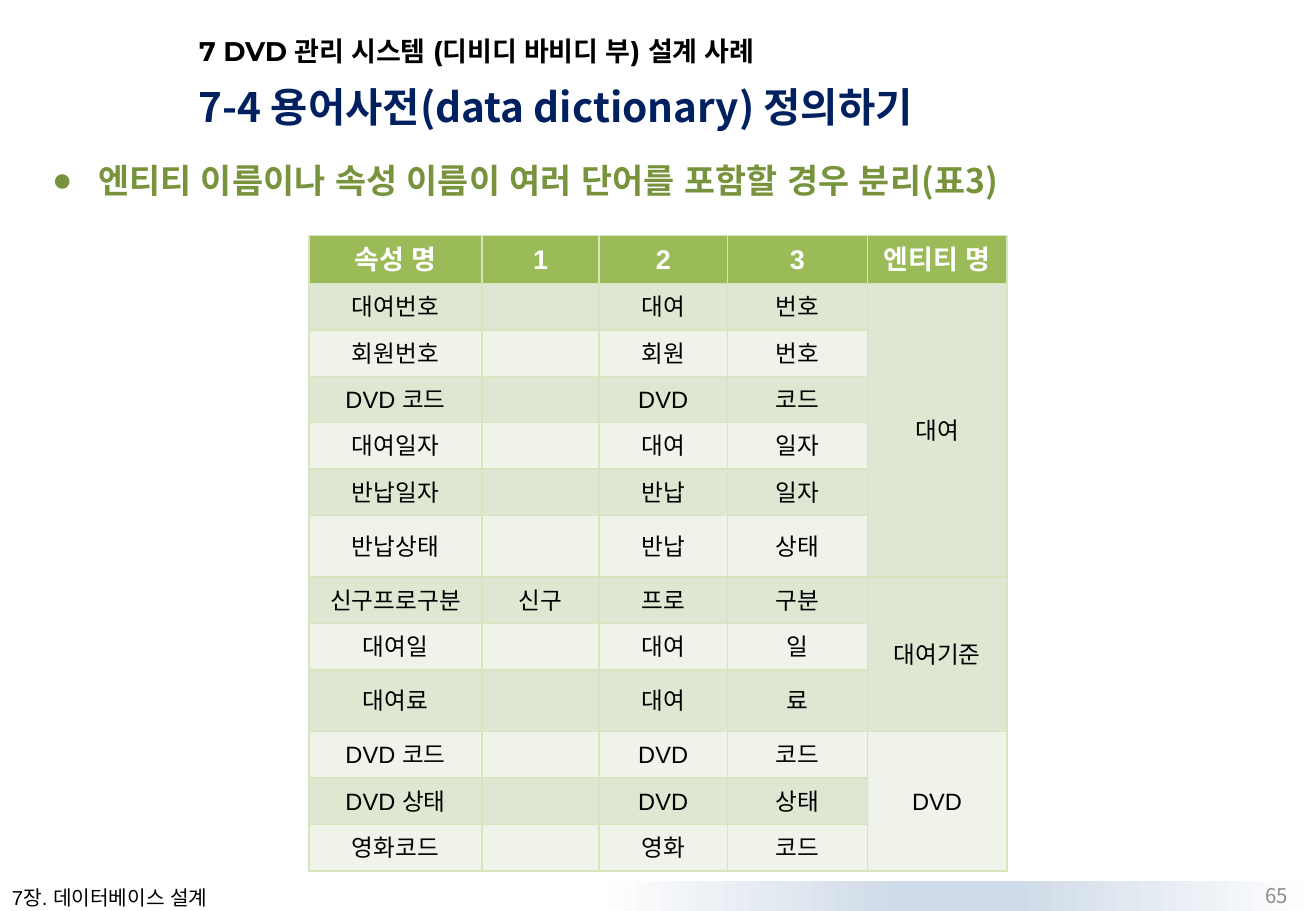
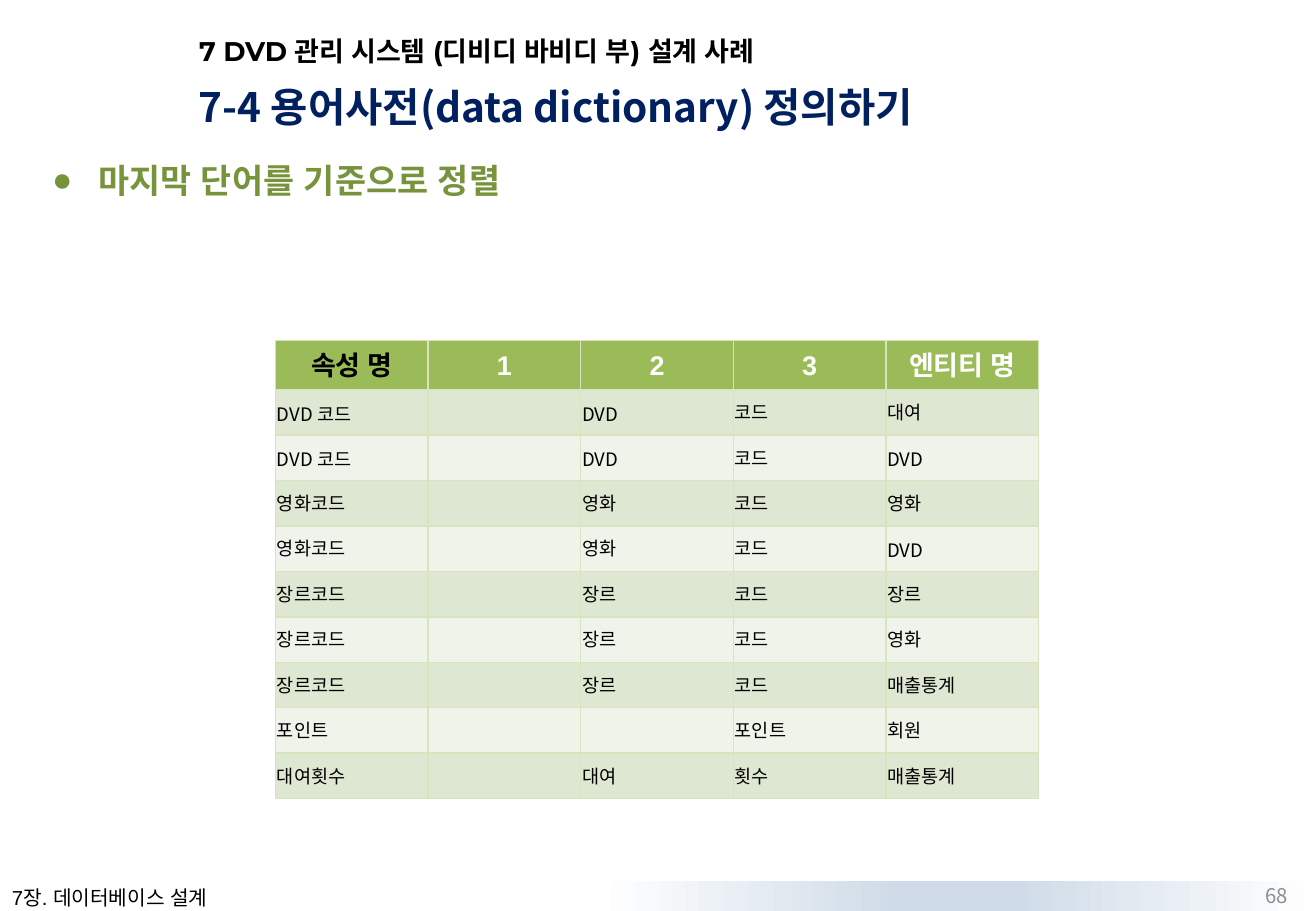
from dataclasses import dataclass

from lxml.etree import SubElement
from pptx import Presentation
from pptx.dml.color import RGBColor
from pptx.enum.shapes import MSO_SHAPE as Shape
from pptx.enum.text import MSO_ANCHOR as Anchor, MSO_AUTO_SIZE as AutoSize, PP_ALIGN as Align
from pptx.oxml import parse_xml
from pptx.oxml.ns import nsdecls, qn
from pptx.util import Cm, Pt


@dataclass(frozen=True)
class Theme:
    # Colours
    black: str = "000000"
    white: str = "FFFFFF"
    navy: str = "002060"
    green: str = "77933C"
    grey: str = "8C8C8C"
    band: str = "CFDBE8"
    header: str = "9BBB59"
    rows: tuple = ("DEE7D1", "EFF3EA")
    border: str = "D7E4BD"
    # Fonts
    sans: str = "Arial"
    display: str = "Montserrat"
    korean: str = "Noto Sans CJK KR"
    # Type sizes
    chapter: int = 16
    section: int = 24
    bullet: int = 20
    small: int = 12
    table_header: int = 16


THEME = Theme()


@dataclass(frozen=True)
class TableStyle:
    size: int
    align: Align
    font: str
    lead_font: str
    lead_color: str


def style_para(para, size, color, font, bold=False, align=Align.LEFT, east_asian=THEME.sans):
    para.alignment = align
    for span in para.runs:
        span.font.size = Pt(size)
        span.font.bold = bold
        span.font.name = font
        span.font.color.rgb = RGBColor.from_string(color)
        SubElement(span.font._element, qn("a:ea"), typeface=east_asian)


def fill_frame(frame, text, anchor=Anchor.TOP, wrap=True, **style):
    frame.text = text
    frame.word_wrap = wrap
    frame.auto_size = AutoSize.NONE
    frame.vertical_anchor = anchor
    style_para(frame.paragraphs[0], **style)


def place(shape, left, top, width, height):
    shape.left, shape.top = Cm(left), Cm(top)
    shape.width, shape.height = Cm(width), Cm(height)


def add_text(page, area, text, **style):
    box = page.shapes.add_textbox(*map(Cm, area))
    fill_frame(box.text_frame, text, **style)
    return box


def add_rectangle(page, area):
    shape = page.shapes.add_shape(Shape.RECTANGLE, *map(Cm, area))
    shape.shadow.inherit = False
    shape.line.fill.background()
    return shape


def add_backdrop(page):
    band = add_rectangle(page, (12.5, 18.42, 15.01, 0.63))
    band.fill.gradient()
    band.fill.gradient_angle = 0
    # Fade from white to blue and back
    stops = band.fill.gradient_stops._gsLst
    for stop in list(stops):
        stops.remove(stop)
    fade = ((0, THEME.white), (42, THEME.band), (58, THEME.band), (100, THEME.white))
    for percent, color in fade:
        stop = SubElement(stops, qn("a:gs"), pos=str(percent * 1000))
        SubElement(stop, qn("a:srgbClr"), val=color)
    # Content panel
    panel = add_rectangle(page, (0.84, 2.74, 26.67, 15.67))
    panel.fill.solid()
    panel.fill.fore_color.rgb = RGBColor.from_string(THEME.white)


def add_bullet(page, text):
    box = add_text(page, (0.84, 2.97, 26.24, 15.04), text, size=THEME.bullet,
                   color=THEME.green, font=THEME.korean, bold=True)
    para = box.text_frame.paragraphs[0]
    props = para._p.get_or_add_pPr()
    props.set("marL", str(Cm(0.96)))
    props.set("indent", str(-Cm(0.96)))
    SubElement(props, qn("a:buFont"), typeface=THEME.sans)
    SubElement(props, qn("a:buChar"), char="●")
    para.line_spacing = 1.3


def add_page(deck, number, bullet):
    page = deck.slides.add_slide(deck.slide_layouts[5])
    add_backdrop(page)
    add_bullet(page, bullet)
    # Headings
    title = page.shapes.title
    place(title, 3.91, 0.64, 17.02, 0.84)
    fill_frame(title.text_frame, "7 DVD 관리 시스템 (디비디 바비디 부) 설계 사례",
               anchor=Anchor.MIDDLE, size=THEME.chapter, color=THEME.black,
               font=THEME.display, bold=True)
    add_text(page, (3.91, 1.69, 19.58, 1.17), "7-4 용어사전(data dictionary) 정의하기",
             anchor=Anchor.BOTTOM, size=THEME.section, color=THEME.navy,
             font=THEME.korean, bold=True, east_asian=THEME.korean)
    # Footer
    add_text(page, (0, 18.39, 5, 0.76), "7장. 데이터베이스 설계", wrap=False,
             size=THEME.small, color=THEME.black, font=THEME.sans)
    add_text(page, (20.74, 18.42, 6.43, 0.63), str(number), anchor=Anchor.MIDDLE,
             size=THEME.small, color=THEME.grey, font=THEME.korean, align=Align.RIGHT)
    return page


def style_cell(cell, text, fill, **style):
    cell.text = text
    cell.vertical_anchor = Anchor.MIDDLE
    cell.margin_left = cell.margin_right = cell.margin_top = Cm(0.03)
    cell.margin_bottom = 0
    style_para(cell.text_frame.paragraphs[0], **style)
    props = cell._tc.get_or_add_tcPr()
    for side in ("lnL", "lnR", "lnT", "lnB"):
        props.append(parse_xml(
            f'<a:{side} {nsdecls("a")} w="{Pt(1)}"><a:solidFill>'
            f'<a:srgbClr val="{THEME.border}"/></a:solidFill></a:{side}>'))
    cell.fill.solid()
    cell.fill.fore_color.rgb = RGBColor.from_string(fill)


def add_dictionary(page, left, top, widths, heights, entries, style):
    """Draw a term table; an entity of None joins the cell above."""
    frame = page.shapes.add_table(len(heights), len(widths), Cm(left), Cm(top),
                                  Cm(sum(widths)), Cm(sum(heights)))
    table = frame.table
    table.horz_banding = False
    for column, width in zip(table.columns, widths):
        column.width = Cm(width)
    for row, height in zip(table.rows, heights):
        row.height = Cm(height)
    # Header
    for index, text in enumerate(("속성 명", "1", "2", "3", "엔티티 명")):
        lead = index == 0
        style_cell(table.cell(0, index), text, THEME.header, size=THEME.table_header,
                   color=style.lead_color if lead else THEME.white,
                   font=style.lead_font if lead else THEME.sans,
                   bold=True, align=Align.CENTER)
    # Body
    for number, entry in enumerate(entries, start=1):
        for index, text in enumerate(entry):
            style_cell(table.cell(number, index), text or "", THEME.rows[(number - 1) % 2],
                       size=style.size, color=THEME.black, font=style.font, align=style.align)
    # Joined entity cells
    last = len(widths) - 1
    starts = [n for n, entry in enumerate(entries, start=1) if entry[last] is not None]
    for start, following in zip(starts, starts[1:] + [len(heights)]):
        if following - start > 1:
            table.cell(start, last).merge(table.cell(following - 1, last))


SPLIT_TERMS = (
    ("대여번호", "", "대여", "번호", "대여"),
    ("회원번호", "", "회원", "번호", None),
    ("DVD 코드", "", "DVD", "코드", None),
    ("대여일자", "", "대여", "일자", None),
    ("반납일자", "", "반납", "일자", None),
    ("반납상태", "", "반납", "상태", None),
    ("신구프로구분", "신구", "프로", "구분", "대여기준"),
    ("대여일", "", "대여", "일", None),
    ("대여료", "", "대여", "료", None),
    ("DVD 코드", "", "DVD", "코드", "DVD"),
    ("DVD 상태", "", "DVD", "상태", None),
    ("영화코드", "", "영화", "코드", None),
)

SORTED_TERMS = (
    ("DVD 코드", "", "DVD", "코드", "대여"),
    ("DVD 코드", "", "DVD", "코드", "DVD"),
    ("영화코드", "", "영화", "코드", "영화"),
    ("영화코드", "", "영화", "코드", "DVD"),
    ("장르코드", "", "장르", "코드", "장르"),
    ("장르코드", "", "장르", "코드", "영화"),
    ("장르코드", "", "장르", "코드", "매출통계"),
    ("포인트", "", "", "포인트", "회원"),
    ("대여횟수", "", "대여", "횟수", "매출통계"),
)


def main():
    deck = Presentation()
    deck.slide_width, deck.slide_height = Cm(27.51), Cm(19.05)

    # Terms split into words; the row closing each of the first two groups is taller
    page = add_page(deck, 65, "엔티티 이름이나 속성 이름이 여러 단어를 포함할 경우 분리(표3)")
    heights = [1.0] + [1.29 if n in (6, 9) else 0.97 for n in range(1, len(SPLIT_TERMS) + 1)]
    add_dictionary(page, 6.46, 4.93, (3.62, 2.44, 2.69, 2.92, 2.92), heights, SPLIT_TERMS,
                   TableStyle(14, Align.CENTER, THEME.sans, THEME.sans, THEME.white))

    # Terms sorted by last word
    page = add_page(deck, 68, "마지막 단어를 기준으로 정렬")
    heights = [1.03] + [0.95] * len(SORTED_TERMS)
    add_dictionary(page, 5.76, 7.12, [3.19] * 5, heights, SORTED_TERMS,
                   TableStyle(11, Align.LEFT, THEME.korean, THEME.korean, THEME.black))

    deck.save("out.pptx")


if __name__ == "__main__":
    main()
